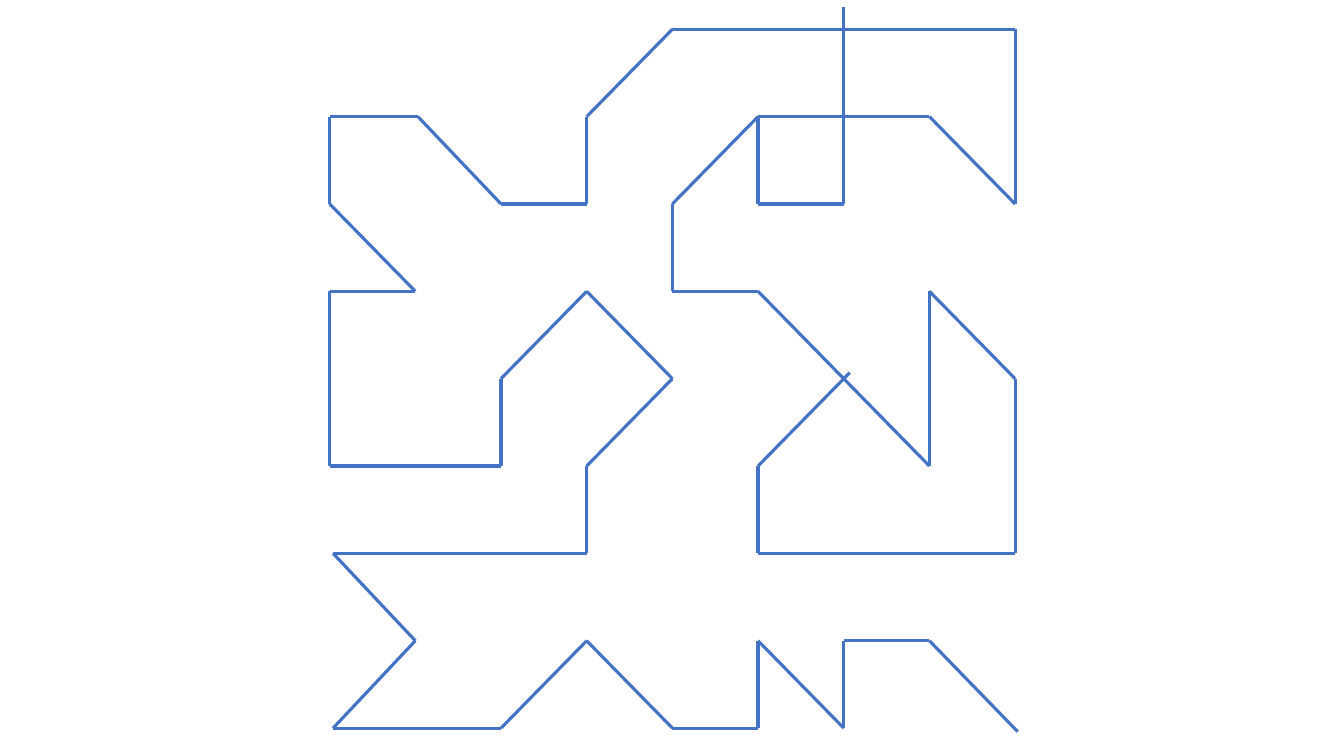
"""Build a slide of open line mazes that run along a nine by nine grid."""
import dataclasses

import pptx
import pptx.dml.color
import pptx.enum.shapes
import pptx.oxml.ns
import pptx.util
from lxml import etree


@dataclasses.dataclass(frozen=True)
class Theme:
    """Hold the look of the lines and the grid measures in points."""

    ink: str = "4472C4"
    weight: float = 2.25
    left: float = 235.5
    top: float = 20.9
    col: float = 61.2
    row: float = 62.4


THEME = Theme()

OUTER = [
    (6, 1), (7, 1), (8, 2), (8, 0), (4, 0), (3, 1), (3, 2), (2, 2),
    (1.03, 1), (0, 1), (0, 2), (1, 3), (0, 3), (0, 5), (2, 5), (2, 4),
    (3, 3), (4, 4), (3, 5), (3, 6), (0.04, 6), (1, 7), (0.04, 8), (2, 8),
    (3, 7), (4, 8), (5, 8), (5, 7), (6, 8), (6, 7), (7, 7), (8.03, 8.04),
]
SQUARE = [(6, -0.25), (6, 1), (5, 1), (5, 2), (6, 2), (6, 1)]
INNER = [
    (5, 1), (4, 2), (4, 3), (5, 3), (7, 5), (7, 3), (8, 4), (8, 6),
    (5, 6), (5, 5), (6.07, 3.93),
]


def place(node):
    """Turn a grid node into a slide position."""
    col, row = node
    return (
        pptx.util.Pt(THEME.left + col * THEME.col),
        pptx.util.Pt(THEME.top + row * THEME.row),
    )


def add_line(slide, start, end):
    """Draw one straight line between two grid nodes."""
    kind = pptx.enum.shapes.MSO_CONNECTOR.STRAIGHT
    line = slide.shapes.add_connector(kind, *place(start), *place(end))
    line.line.color.rgb = pptx.dml.color.RGBColor.from_string(THEME.ink)
    line.line.width = pptx.util.Pt(THEME.weight)
    etree.SubElement(line._element.spPr, pptx.oxml.ns.qn("a:effectLst"))


def add_walk(slide, nodes):
    """Draw a line between each pair of nodes in turn."""
    for start, end in zip(nodes, nodes[1:]):
        add_line(slide, start, end)


def main():
    """Build and save the slide."""
    deck = pptx.Presentation()
    deck.slide_width = pptx.util.Pt(960)
    deck.slide_height = pptx.util.Pt(540)
    slide = deck.slides.add_slide(deck.slide_layouts[6])
    for walk in (OUTER, SQUARE, INNER):
        add_walk(slide, walk)
    deck.save("out.pptx")


main()
